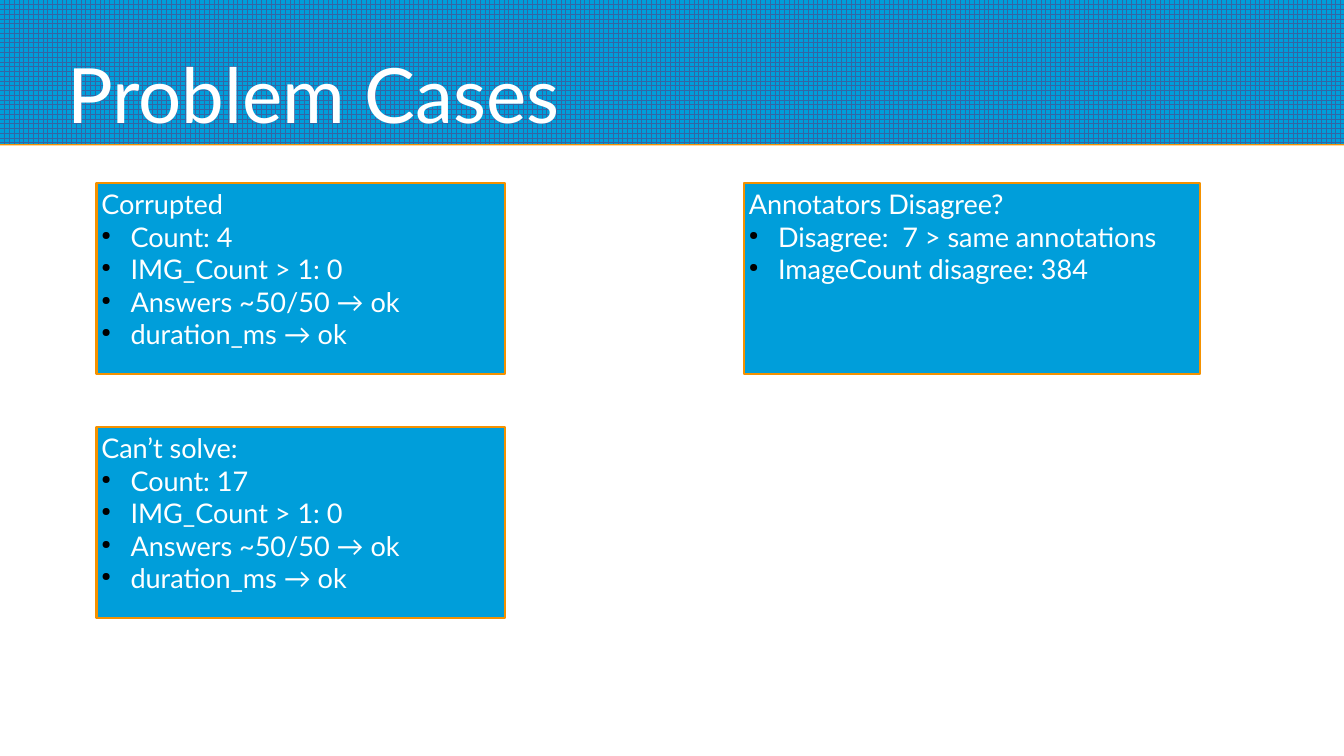
"""Build the Problem Cases slide with its three summary cards."""
import lxml.etree
import pptx
import pptx.dml.color
import pptx.enum.dml
import pptx.enum.shapes
import pptx.enum.text
import pptx.oxml.ns
import pptx.util

Inches = pptx.util.Inches
Pt = pptx.util.Pt

TITLE = "Problem Cases"
CHECKS = ["IMG_Count > 1: 0", "Answers ~50/50 → ok", "duration_ms → ok"]
CARDS = [
    {"column": 0, "row": 0, "heading": "Corrupted", "points": ["Count: 4", *CHECKS]},
    {"column": 0, "row": 1, "heading": "Can’t solve:", "points": ["Count: 17", *CHECKS]},
    {"column": 1, "row": 0, "heading": "Annotators Disagree?",
     "points": ["Disagree:  7 > same annotations", "ImageCount disagree: 384"]},
]
COLORS = {"blue": "009EDA", "grid": "3465A4", "orange": "F49100",
          "text": "FFFFFF", "bullet": "000000"}
FONT = "Lato"
SLIDE_WIDTH, SLIDE_HEIGHT = 11.02, 6.2
BANNER_HEIGHT = 1.18
COLUMNS = [(0.79, 3.35), (6.1, 3.74)]
CARD_TOP, CARD_HEIGHT, ROW_STEP = 1.5, 1.57, 2.0
CARD_INSET, BULLET_INDENT = 0.04, 0.24


def rgb(name):
    return pptx.dml.color.RGBColor.from_string(COLORS[name])


def add_xml(parent, tag, **attributes):
    return lxml.etree.SubElement(parent, pptx.oxml.ns.qn(tag), attributes)


def set_insets(frame, inset):
    frame.margin_left = frame.margin_right = Inches(inset)
    frame.margin_top = frame.margin_bottom = Inches(inset)


def format_paragraph(paragraph, size):
    paragraph.alignment = pptx.enum.text.PP_ALIGN.LEFT
    for run in paragraph.runs:
        run.font.name = FONT
        run.font.size = Pt(size)
        run.font.color.rgb = rgb("text")


def add_bullet(paragraph):
    properties = paragraph._p.get_or_add_pPr()
    properties.set("marL", str(Inches(BULLET_INDENT)))
    properties.set("indent", str(-Inches(BULLET_INDENT)))
    add_xml(add_xml(properties, "a:buClr"), "a:srgbClr", val=COLORS["bullet"])
    add_xml(properties, "a:buSzPct", val="45000")
    add_xml(properties, "a:buChar", char="●")


def add_rectangle(slide, left, top, width, height):
    return slide.shapes.add_shape(
        pptx.enum.shapes.MSO_SHAPE.RECTANGLE,
        Inches(left), Inches(top), Inches(width), Inches(height))


def add_banner(slide):
    banner = add_rectangle(slide, 0, 0, SLIDE_WIDTH, BANNER_HEIGHT)
    banner.fill.patterned()
    banner.fill.pattern = pptx.enum.dml.MSO_PATTERN.LARGE_GRID
    banner.fill.fore_color.rgb = rgb("grid")
    banner.fill.back_color.rgb = rgb("blue")
    banner.line.fill.background()
    effects = add_xml(banner._element.spPr, "a:effectLst")
    shadow = add_xml(effects, "a:outerShdw", blurRad="0", dist=str(Pt(0.9)),
                     dir="5400000", algn="ctr", rotWithShape="0")
    add_xml(shadow, "a:srgbClr", val=COLORS["orange"])
    slide.shapes._spTree.insert(2, banner._element)


def add_title(slide):
    title = slide.shapes.title
    title.left, title.top = Inches(0.55), Inches(0.1)
    title.width, title.height = Inches(9.92), Inches(1.04)
    frame = title.text_frame
    frame.text = TITLE
    frame.auto_size = pptx.enum.text.MSO_AUTO_SIZE.NONE
    frame.vertical_anchor = pptx.enum.text.MSO_ANCHOR.BOTTOM
    set_insets(frame, 0)
    format_paragraph(frame.paragraphs[0], 45)


def add_card(slide, content):
    left, width = COLUMNS[content["column"]]
    top = CARD_TOP + content["row"] * ROW_STEP
    card = add_rectangle(slide, left, top, width, CARD_HEIGHT)
    card.shadow.inherit = False
    card.fill.solid()
    card.fill.fore_color.rgb = rgb("blue")
    card.line.color.rgb = rgb("orange")
    card.line.width = Pt(1.42)
    frame = card.text_frame
    frame.word_wrap = True
    frame.vertical_anchor = pptx.enum.text.MSO_ANCHOR.TOP
    set_insets(frame, CARD_INSET)
    frame.text = "\n".join([content["heading"], *content["points"]])
    for paragraph in frame.paragraphs:
        format_paragraph(paragraph, 16)
    for point in frame.paragraphs[1:]:
        add_bullet(point)


def main():
    deck = pptx.Presentation()
    deck.slide_width, deck.slide_height = Inches(SLIDE_WIDTH), Inches(SLIDE_HEIGHT)
    slide = deck.slides.add_slide(deck.slide_layouts.get_by_name("Title Only"))
    add_banner(slide)
    add_title(slide)
    for content in CARDS:
        add_card(slide, content)
    deck.save("out.pptx")


if __name__ == "__main__":
    main()
